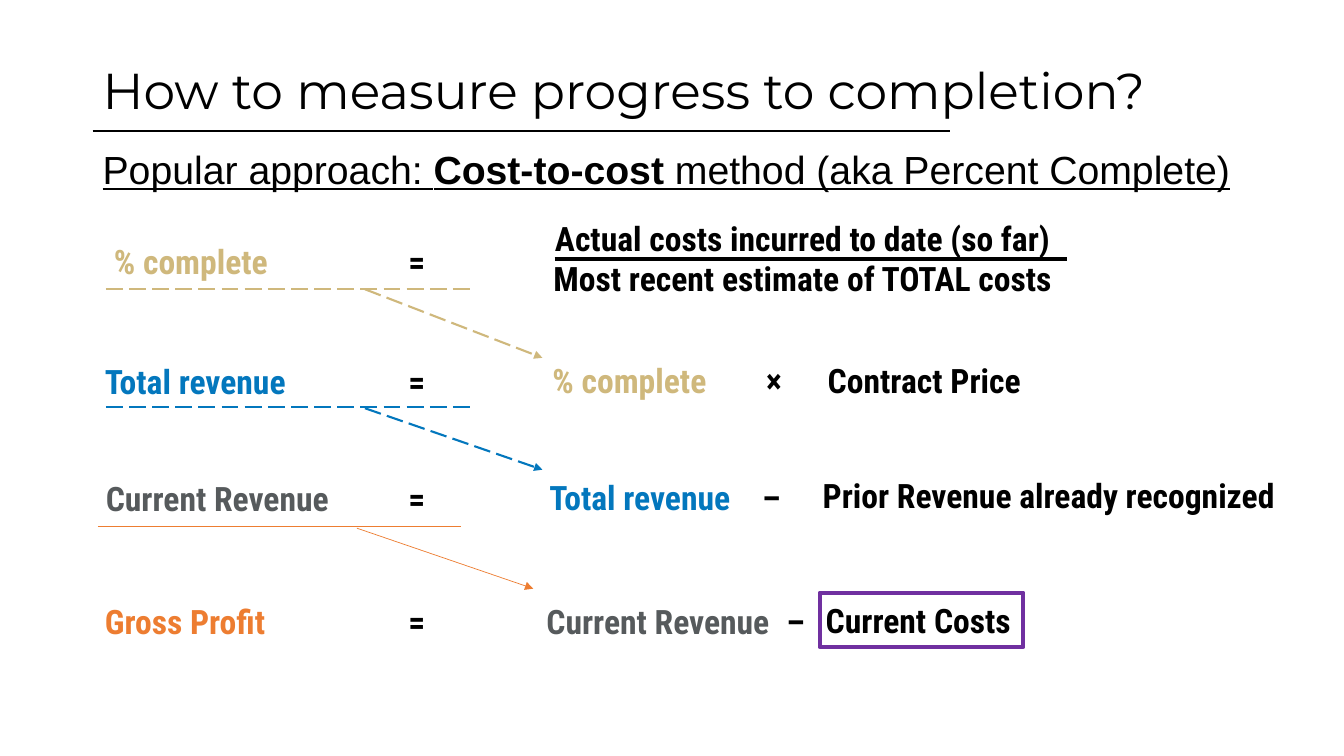
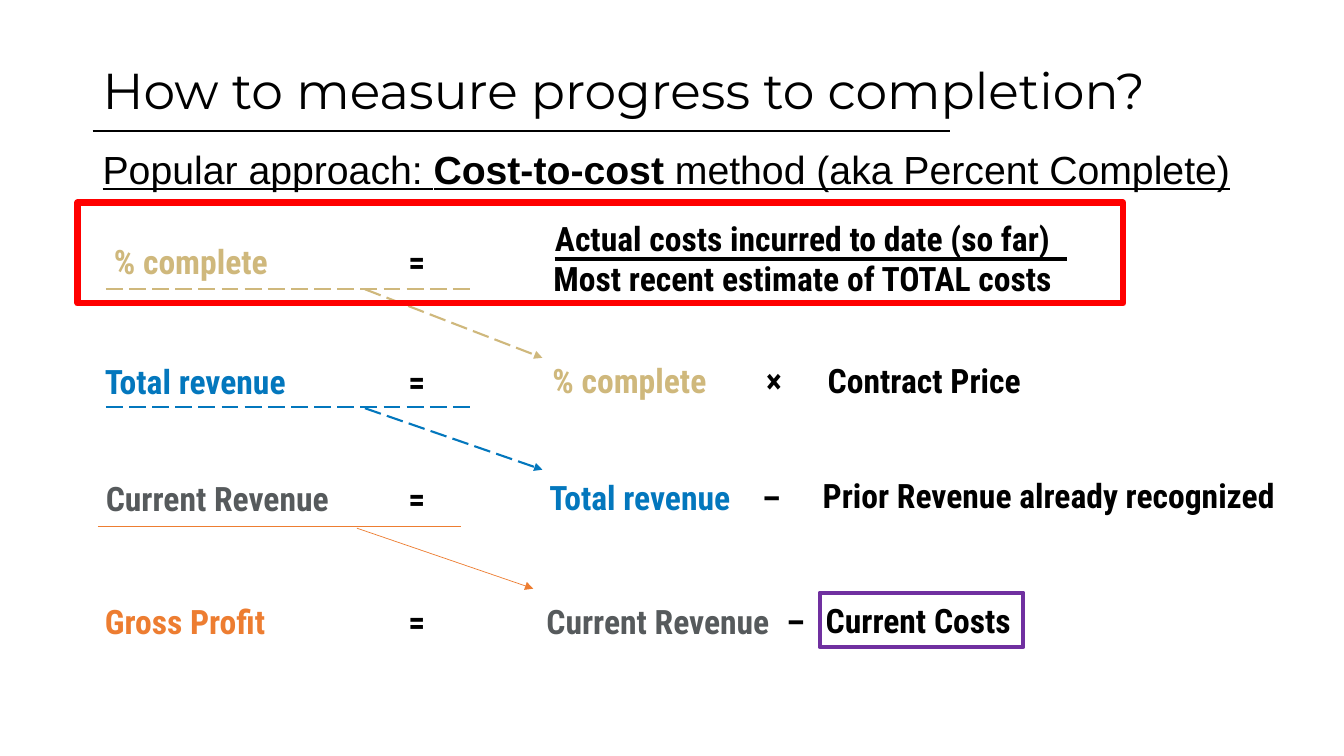
from lxml import etree
from pptx import Presentation
from pptx.dml.color import RGBColor
from pptx.enum.dml import MSO_LINE
from pptx.enum.shapes import MSO_CONNECTOR, MSO_SHAPE
from pptx.enum.text import MSO_ANCHOR, PP_ALIGN
from pptx.oxml.ns import qn
from pptx.util import Inches, Pt

COLOURS = {
    "black": "000000", "percent": "CFB87C", "total": "0377BD", "current": "565A5C",
    "profit": "ED7D31", "costs": "7030A0", "highlight": "FF0000",
}
TITLE_FONT, SUBTITLE_FONT, FORMULA_FONT = "Montserrat", "Arial", "Roboto Condensed"
EQUALS_LEFT = 4.05

# Terms of the formulas: text, colour, left, top, width
TERMS = [
    ("% complete", "percent", 1.13, 2.39, 2.5),
    ("=", "black", EQUALS_LEFT, 2.39, 0.4),
    ("Total revenue", "total", 1.04, 3.58, 2.5),
    ("=", "black", EQUALS_LEFT, 3.58, 0.4),
    ("% complete", "percent", 5.48, 3.57, 2),
    ("×", "black", 7.6, 3.57, 0.4),
    ("Contract Price", "black", 8.21, 3.57, 2.5),
    ("Current Revenue", "current", 1.05, 4.74, 2.5),
    ("=", "black", EQUALS_LEFT, 4.74, 0.4),
    ("Total revenue", "total", 5.45, 4.73, 2),
    ("–", "black", 7.56, 4.73, 0.4),
    ("Prior Revenue already recognized", "black", 8.16, 4.71, 4.8),
    ("Gross Profit", "profit", 1.04, 5.96, 2.5),
    ("=", "black", EQUALS_LEFT, 5.96, 0.4),
    ("Current Revenue", "current", 5.42, 5.96, 2.3),
    ("–", "black", 7.8, 5.96, 0.3),
]

# Results carried to the next formula: colour, width, dash, underline, arrow
CARRIES = [
    ("percent", 1.5, MSO_LINE.LONG_DASH, (1.05, 2.87, 4.66, 2.87), (3.62, 2.87, 5.38, 3.55)),
    ("total", 1.5, MSO_LINE.LONG_DASH, (1.05, 4.04, 4.66, 4.04), (3.62, 4.05, 5.38, 4.66)),
    ("profit", 0.5, None, (0.97, 5.22, 4.57, 5.22), (3.54, 5.24, 5.29, 5.84)),
]


def rgb(colour):
    return RGBColor.from_string(COLOURS[colour])


def style_font(font, name, size, colour="black", bold=False, underline=False):
    font.name = name
    font.size = Pt(size)
    font.color.rgb = rgb(colour)
    font.bold = bold
    font.underline = underline


def add_text_frame(slide, left, top, width, height, inset=0.0):
    box = slide.shapes.add_textbox(Inches(left), Inches(top), Inches(width), Inches(height))
    frame = box.text_frame
    frame.word_wrap = True
    frame.margin_left = frame.margin_right = Inches(inset)
    frame.margin_top = frame.margin_bottom = Inches(inset / 2)
    return frame


def add_line(slide, ends, colour, width, dash=None, arrow=False):
    line = slide.shapes.add_connector(MSO_CONNECTOR.STRAIGHT, *map(Inches, ends))
    line.line.color.rgb = rgb(colour)
    line.line.width = Pt(width)
    if dash:
        line.line.dash_style = dash
    if arrow:
        etree.SubElement(line.line._get_or_add_ln(), qn("a:tailEnd"), type="triangle")
    etree.SubElement(line._element.spPr, qn("a:effectLst"))


def add_frame(slide, left, top, width, height, colour, weight):
    """Add an unfilled rectangle."""
    shape = slide.shapes.add_shape(
        MSO_SHAPE.RECTANGLE, Inches(left), Inches(top), Inches(width), Inches(height))
    shape.shadow.inherit = False
    shape.fill.background()
    shape.line.color.rgb = rgb(colour)
    shape.line.width = Pt(weight)
    return shape


def add_heading(slide):
    add_line(slide, (0.92, 1.3, 9.42, 1.3), "black", 1)
    title = add_text_frame(slide, 0.92, 0.2, 11.67, 1.45, inset=0.1)
    title.vertical_anchor = MSO_ANCHOR.MIDDLE
    title.text = "How to measure progress to completion?"
    title.paragraphs[0].line_spacing = 0.9
    style_font(title.paragraphs[0].runs[0].font, TITLE_FONT, 36)

    subtitle = add_text_frame(slide, 0.92, 1.45, 11.5, 0.6, inset=0.1).paragraphs[0]
    subtitle.line_spacing = 0.9
    for text, bold in (("Popular approach: ", False), ("Cost-to-cost", True),
                       (" method (aka Percent Complete)", False)):
        run = subtitle.add_run()
        run.text = text
        style_font(run.font, SUBTITLE_FONT, 28, bold=bold, underline=True)


def add_term(slide, text, colour, left, top, width):
    frame = add_text_frame(slide, left, top, width, 0.4)
    frame.text = text
    style_font(frame.paragraphs[0].runs[0].font, FORMULA_FONT, 24, colour, bold=True)


def add_cost_fraction(slide):
    frame = add_text_frame(slide, 5.34, 2.16, 5.24, 0.81)
    frame.text = "Actual costs incurred to date (so far)\nMost recent estimate of TOTAL costs"
    for paragraph in frame.paragraphs:
        paragraph.alignment = PP_ALIGN.CENTER
        style_font(paragraph.runs[0].font, FORMULA_FONT, 24, bold=True)
    add_line(slide, (5.5, 2.57, 10.58, 2.57), "black", 2.25)


def add_current_costs(slide):
    frame = add_frame(slide, 8.13, 5.88, 2.02, 0.54, "costs", 3).text_frame
    frame.margin_left, frame.margin_right = Inches(0.06), 0
    frame.margin_top = frame.margin_bottom = 0
    frame.vertical_anchor = MSO_ANCHOR.MIDDLE
    frame.text = "Current Costs"
    frame.paragraphs[0].alignment = PP_ALIGN.LEFT
    style_font(frame.paragraphs[0].runs[0].font, FORMULA_FONT, 24, bold=True)


def add_method_slide(deck):
    slide = deck.slides.add_slide(deck.slide_layouts[6])
    add_heading(slide)
    for term in TERMS:
        add_term(slide, *term)
    for colour, width, dash, underline, arrow in CARRIES:
        add_line(slide, underline, colour, width, dash)
        add_line(slide, arrow, colour, width, dash, arrow=True)
    add_cost_fraction(slide)
    add_current_costs(slide)
    return slide


def main():
    deck = Presentation()
    deck.slide_width, deck.slide_height = Inches(13.33), Inches(7.5)
    add_method_slide(deck)
    percent_slide = add_method_slide(deck)
    add_frame(percent_slide, 0.77, 2.01, 10.37, 1, "highlight", 4.5)
    deck.save("out.pptx")


if __name__ == "__main__":
    main()
